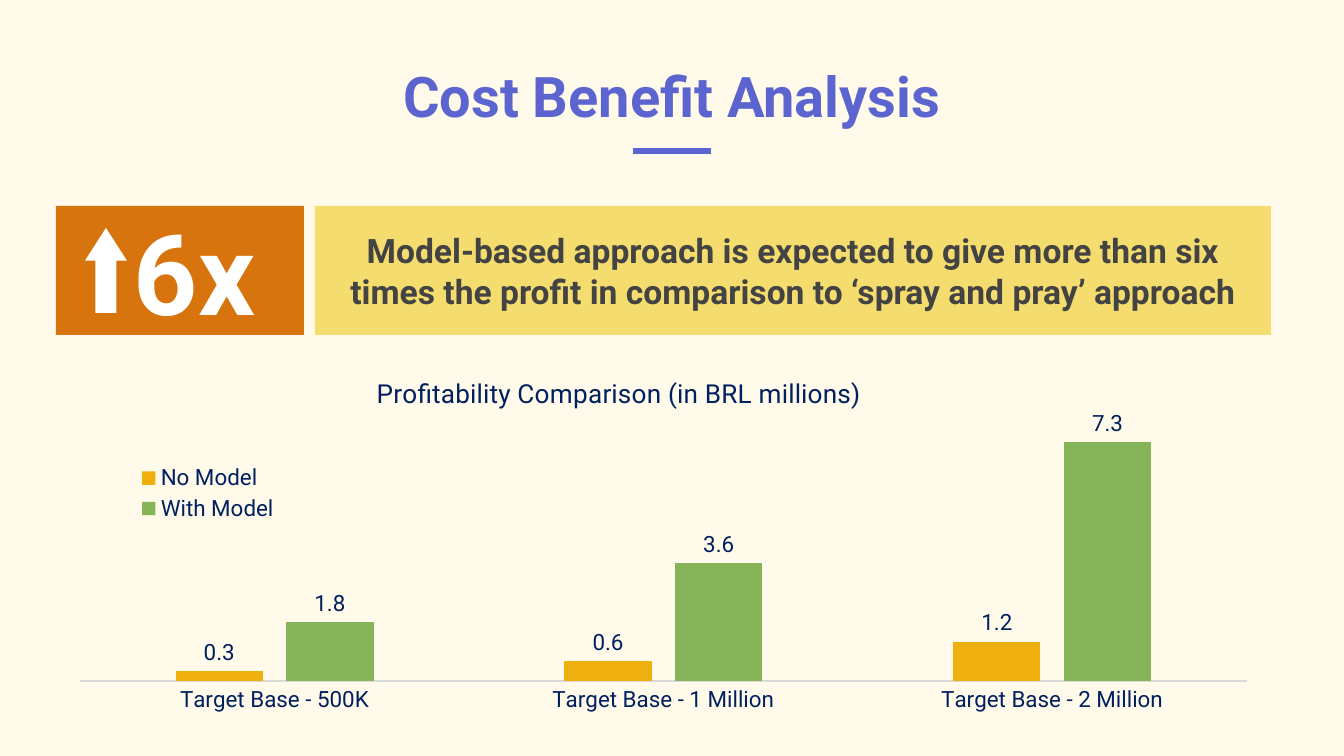
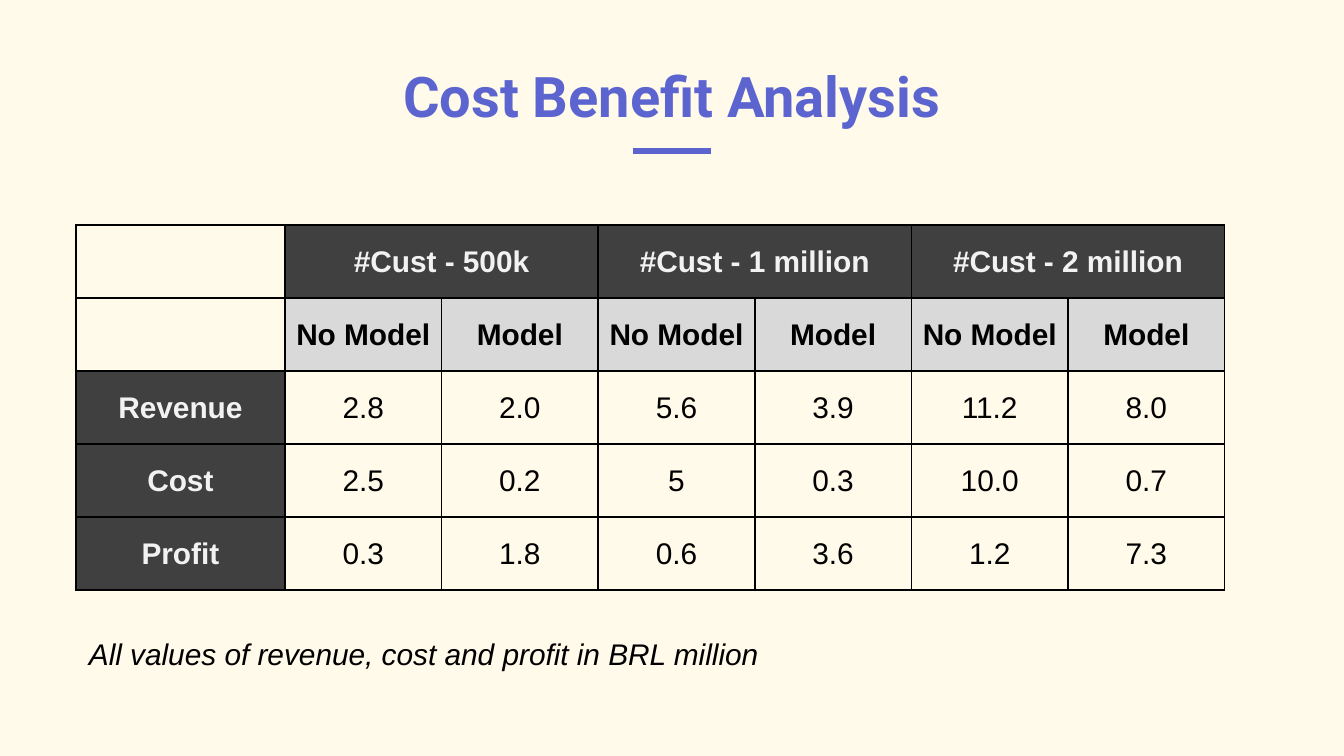
from lxml.etree import SubElement
from pptx import Presentation
from pptx.chart.data import CategoryChartData
from pptx.dml.color import RGBColor
from pptx.enum.chart import XL_CHART_TYPE as ChartType, XL_LABEL_POSITION as LabelPos
from pptx.enum.chart import XL_LEGEND_POSITION as LegendPos, XL_TICK_MARK as TickMark
from pptx.enum.shapes import MSO_CONNECTOR as Connector, MSO_SHAPE as Shape
from pptx.enum.text import MSO_ANCHOR as Anchor, PP_ALIGN as Align
from pptx.oxml.ns import qn
from pptx.util import Pt

EMU_PER_PX = 914400 / 134.4
WIDTH, HEIGHT = 1344, 756
CREAM, INDIGO, NAVY = "FFFAEA", "5C65CF", "002060"
ORANGE, YELLOW, AMBER, GREEN = "D8740D", "F5DC6E", "EFAF0F", "86B458"
WHITE, BLACK, PALE, CHARCOAL = "FFFFFF", "000000", "F2F2F2", "404040"
SILVER, AXIS_GREY, SLATE = "D9D9D9", "D9D9D9", "434343"
HEADING_FONT, TABLE_FONT = "Roboto", "Arial"
VALUE_FORMAT = "#,##0.0"


def px(length):
    return round(length * EMU_PER_PX)


def rgb(value):
    return RGBColor.from_string(value)


def paint(fill, color):
    if color:
        fill.solid()
        fill.fore_color.rgb = rgb(color)
    else:
        fill.background()


def style_font(font, size, color, name=HEADING_FONT, bold=False, italic=False):
    font.size, font.name = Pt(size), name
    font.bold, font.italic = bold, italic
    font.color.rgb = rgb(color)


def write(frame, text, align=Align.CENTER, **font):
    paragraph = frame.paragraphs[0]
    paragraph.alignment = align
    run = paragraph.add_run()
    run.text = text
    style_font(run.font, **font)


def place(element, index, inner=False, **fractions):
    """Give a chart part a manual layout, as fractions of the chart area."""
    for old in element.findall(qn("c:layout")):
        element.remove(old)
    layout = SubElement(element, qn("c:layout"))
    element.insert(index, layout)
    manual = SubElement(layout, qn("c:manualLayout"))
    if inner:
        SubElement(manual, qn("c:layoutTarget"), val="inner")
    for side in "xy":
        SubElement(manual, qn(f"c:{side}Mode"), val="edge")
    for side, value in fractions.items():
        SubElement(manual, qn(f"c:{side}"), val=str(value))


def outline(cell, color=BLACK, width=1):
    """Draw all four borders of a table cell; call before filling it."""
    properties = cell._tc.get_or_add_tcPr()
    for side in "LRTB":
        line = SubElement(properties, qn(f"a:ln{side}"), w=str(Pt(width)))
        solid = SubElement(line, qn("a:solidFill"))
        SubElement(solid, qn("a:srgbClr"), val=color)


class Deck:
    def __init__(self):
        self.show = Presentation()
        self.show.slide_width, self.show.slide_height = px(WIDTH), px(HEIGHT)

    def slide(self, title):
        self.current = self.show.slides.add_slide(self.show.slide_layouts[6])
        paint(self.current.background.fill, CREAM)
        self.rule(633, 711, 151)
        self.text(title, (105, 30, 1134, 112), inset=13, anchor=Anchor.BOTTOM,
                  size=30, color=INDIGO, bold=True)

    def rule(self, left, right, y):
        line = self.current.shapes.add_connector(
            Connector.STRAIGHT, px(left), px(y), px(right), px(y))
        line.line.color.rgb, line.line.width = rgb(INDIGO), Pt(3)
        SubElement(line._element.spPr, qn("a:effectLst"))

    def text(self, text, box, inset=7, anchor=Anchor.TOP, **style):
        frame = self.current.shapes.add_textbox(*map(px, box)).text_frame
        frame.word_wrap, frame.vertical_anchor = True, anchor
        frame.margin_left = frame.margin_right = px(13)
        frame.margin_top = frame.margin_bottom = px(inset)
        write(frame, text, **style)

    def shape(self, kind, box, fill, text=None, left_inset=13, **style):
        shape = self.current.shapes.add_shape(kind, *map(px, box))
        shape.shadow.inherit = False
        paint(shape.fill, fill)
        shape.line.fill.background()
        if text:
            frame = shape.text_frame
            frame.word_wrap, frame.vertical_anchor = True, Anchor.MIDDLE
            frame.margin_left = px(left_inset)
            frame.margin_right = frame.margin_top = frame.margin_bottom = px(13)
            write(frame, text, **style)
        return shape

    def column_chart(self, title, box, categories, series):
        """Series maps each name to its colour and values."""
        data = CategoryChartData(number_format=VALUE_FORMAT)
        data.categories = categories
        for name, (_, values) in series.items():
            data.add_series(name, values)
        chart = self.current.shapes.add_chart(
            ChartType.COLUMN_CLUSTERED, *map(px, box), data).chart
        style_font(chart.font, 12, NAVY)

        chart.has_title = True
        write(chart.chart_title.text_frame, title, size=14, color=NAVY)
        place(chart.chart_title._element, 1, x=0.26, y=0.04)
        chart.has_legend = True
        chart.legend.position = LegendPos.BOTTOM
        chart.legend.include_in_layout = False
        style_font(chart.legend.font, 12, NAVY)
        place(chart.legend._element, 1, x=0.06, y=0.28, w=0.13, h=0.17)
        place(chart._chartSpace.chart.plotArea, 0, inner=True,
              x=0.02, y=0.17, w=0.96, h=0.69)

        values_axis, names_axis = chart.value_axis, chart.category_axis
        values_axis.minimum_scale, values_axis.maximum_scale = 0, 8
        values_axis.has_major_gridlines = False
        values_axis.visible = False
        names_axis.major_tick_mark = names_axis.minor_tick_mark = TickMark.NONE
        names_axis.format.line.color.rgb = rgb(AXIS_GREY)
        names_axis.format.line.width = Pt(0.75)
        style_font(names_axis.tick_labels.font, 12, NAVY)

        plot = chart.plots[0]
        plot.gap_width, plot.overlap, plot.vary_by_categories = 219, -27, False
        for bars, (color, _) in zip(plot.series, series.values()):
            paint(bars.format.fill, color)
            labels = bars.data_labels
            labels.show_value, labels.position = True, LabelPos.OUTSIDE_END
            labels.number_format, labels.number_format_is_linked = VALUE_FORMAT, False
            style_font(labels.font, 12, NAVY)

    def table(self, left, top, widths, row_height, rows, look):
        """Look gives the fill, text colour and weight for a row and column."""
        table = self.current.shapes.add_table(
            len(rows), len(widths), px(left), px(top),
            px(sum(widths)), px(row_height * len(rows))).table
        table.first_row = table.horz_banding = False
        for column, width in zip(table.columns, widths):
            column.width = px(width)
        for r, row in enumerate(rows):
            table.rows[r].height = px(row_height)
            for c, text in enumerate(row):
                cell = table.cell(r, c)
                fill, color, bold = look(r, c)
                outline(cell)
                paint(cell.fill, fill)
                cell.vertical_anchor = Anchor.MIDDLE
                cell.margin_left = cell.margin_right = cell.margin_top = px(1)
                cell.margin_bottom = 0
                if text:
                    write(cell.text_frame, text, size=16, color=color,
                          name=TABLE_FONT, bold=bold)
        return table


def profit_look(row, column):
    if column == 0 and row < 2:
        return None, BLACK, False
    if row == 0 or column == 0:
        return CHARCOAL, PALE, True
    if row == 1:
        return SILVER, BLACK, True
    return None, BLACK, False


def comparison_slide(deck):
    deck.slide("Cost Benefit Analysis")
    deck.shape(Shape.RECTANGLE, (56, 206, 248, 129), ORANGE, "6x", left_inset=42,
               size=60, color=WHITE, bold=True)
    deck.shape(Shape.RECTANGLE, (315, 206, 956, 129), YELLOW,
               "Model-based approach is expected to give more than six times the "
               "profit in comparison to ‘spray and pray’ approach",
               size=18, color=SLATE, bold=True)
    growth_arrow = deck.shape(Shape.UP_ARROW, (85, 228, 42, 85), WHITE)
    growth_arrow.adjustments[1] = 0.78
    deck.column_chart(
        "Profitability Comparison (in BRL millions)", (56, 355, 1215, 379),
        [f"Target Base - {base}" for base in ("500K", "1 Million", "2 Million")],
        {"No Model": (AMBER, (0.3, 0.6, 1.2)), "With Model": (GREEN, (1.8, 3.6, 7.3))})


def breakdown_slide(deck):
    deck.slide("Cost Benefit Analysis")
    group_columns = (1, 3, 5)
    rows = [
        ["", "#Cust - 500k", "", "#Cust - 1 million", "", "#Cust - 2 million", ""],
        [""] + ["No Model", "Model"] * len(group_columns),
        ["Revenue", "2.8", "2.0", "5.6", "3.9", "11.2", "8.0"],
        ["Cost", "2.5", "0.2", "5", "0.3", "10.0", "0.7"],
        ["Profit", "0.3", "1.8", "0.6", "3.6", "1.2", "7.3"],
    ]
    label_width, table_width = 209, 1149
    value_width = (table_width - label_width) / 6
    table = deck.table(76, 225, [label_width] + [value_width] * 6, 73, rows, profit_look)
    for column in group_columns:
        table.cell(0, column).merge(table.cell(0, column + 1))
    deck.text("All values of revenue, cost and profit in BRL million",
              (76, 629, 748, 50), align=Align.LEFT, size=16, color=BLACK,
              name=TABLE_FONT, italic=True)


def main():
    deck = Deck()
    comparison_slide(deck)
    breakdown_slide(deck)
    deck.show.save("out.pptx")


if __name__ == "__main__":
    main()
